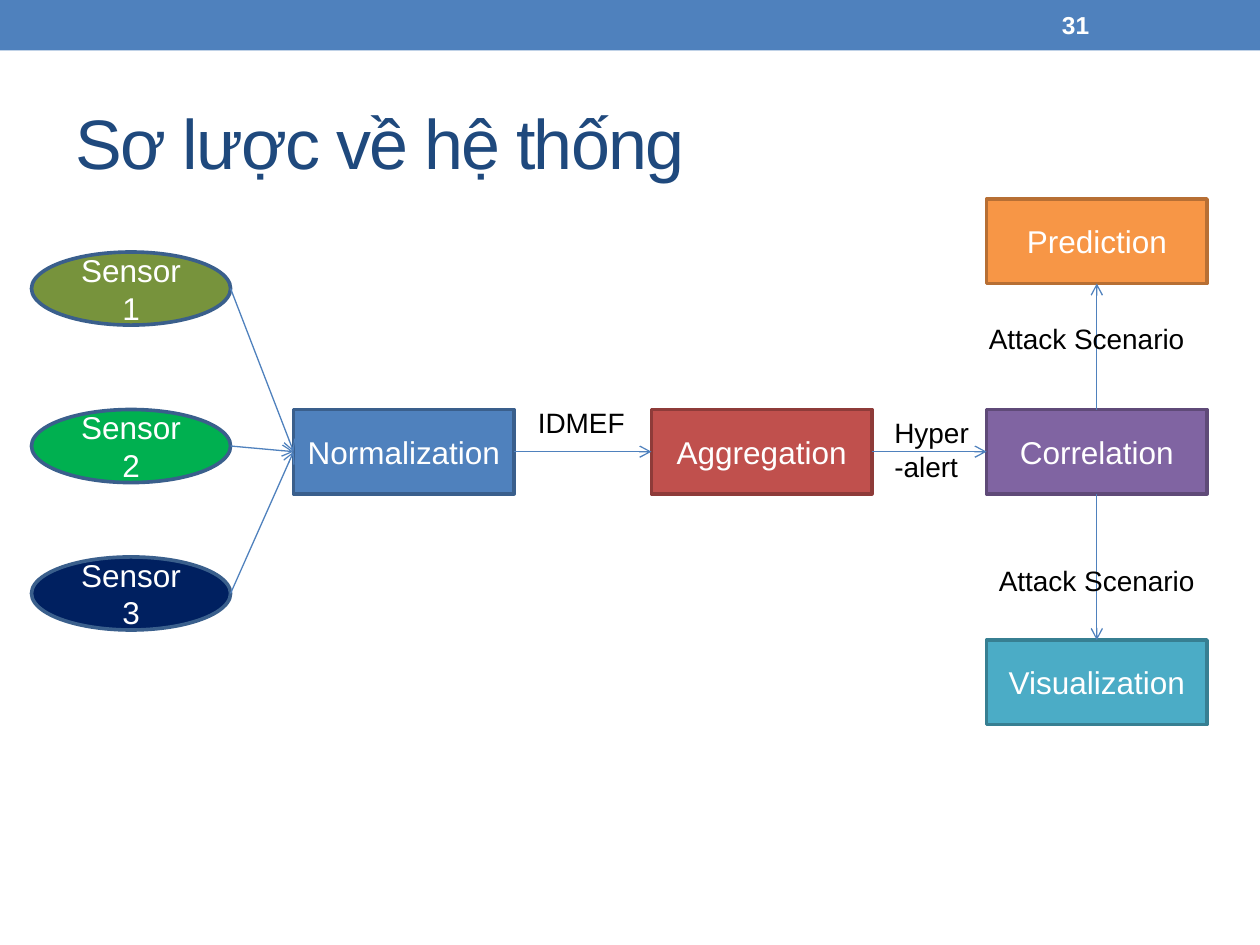
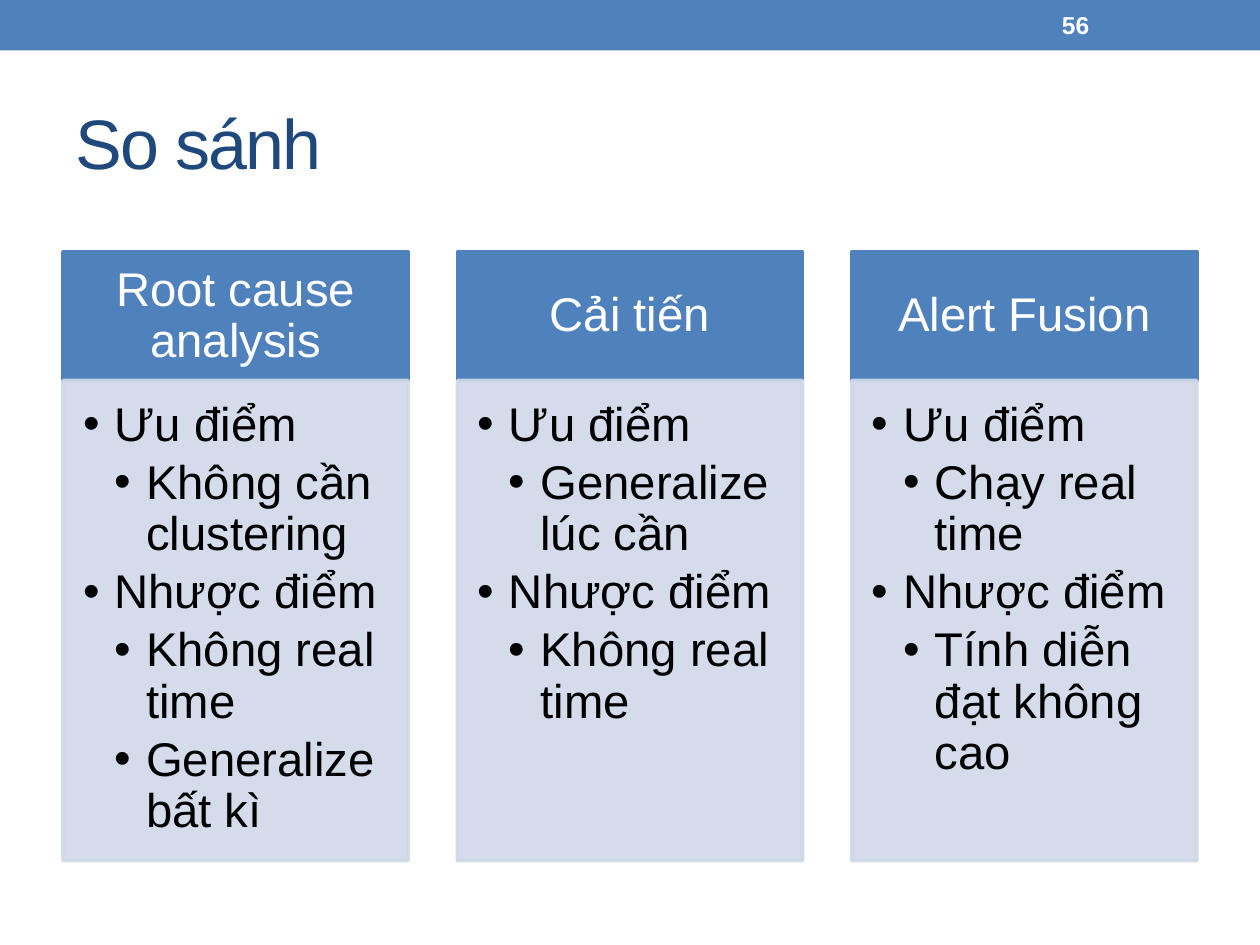
"""Build two slides: an alert-processing pipeline and a three-column comparison."""
from dataclasses import dataclass

from lxml.etree import SubElement
from pptx import Presentation
from pptx.dml.color import RGBColor
from pptx.enum.shapes import MSO_CONNECTOR as Connector, MSO_SHAPE as Shape
from pptx.enum.text import MSO_ANCHOR as Anchor, MSO_AUTO_SIZE as AutoSize, PP_ALIGN as Align
from pptx.oxml.ns import qn
from pptx.util import Inches, Pt


@dataclass(frozen=True)
class Theme:
    font: str = "Arial"
    blue: str = "4F81BD"
    blue_edge: str = "3A5F8C"
    title: str = "1F497D"
    panel: str = "D0D8E8"
    white: str = "FFFFFF"
    black: str = "000000"
    title_size: int = 40
    column_size: int = 27
    node_size: int = 18
    label_size: int = 16
    number_size: int = 14
    edge_width: float = 2.08
    arrow_width: float = 0.75


THEME = Theme()
TOP, LEFT, BOTTOM, RIGHT = range(4)

PIPELINE_TITLE, PIPELINE_NUMBER = "Sơ lược về hệ thống", "31"
SENSOR_LEFT, SENSOR_SIZE = 0.25, (1.58, 0.58)
SENSORS = [("Sensor 1", 2, "77933C"), ("Sensor 2", 3.25, "00B050"), ("Sensor 3", 4.42, "002060")]
STAGE_SIZE = (1.75, 0.67)
STAGE_COLUMNS = (2.33, 5.17, 7.83)
STAGE_ROWS = (1.58, 3.25, 5.08)
STAGES = [
    ("Normalization", 0, 1, THEME.blue, THEME.blue_edge),
    ("Aggregation", 1, 1, "C0504D", "8E3B39"),
    ("Correlation", 2, 1, "8064A2", "5F4A78"),
    ("Prediction", 2, 0, "F79646", "B76F34"),
    ("Visualization", 2, 2, "4BACC6", "377F92"),
]
FLOWS = [
    ("Normalization", RIGHT, "Aggregation", LEFT),
    ("Aggregation", RIGHT, "Correlation", LEFT),
    ("Correlation", TOP, "Prediction", BOTTOM),
    ("Correlation", BOTTOM, "Visualization", TOP),
]
LABELS = [
    (("Hyper", "-alert"), (7, 3.25, 0.8, 0.64)),
    (("IDMEF",), (4.17, 3.17, 0.9, 0.37)),
    (("Attack Scenario",), (7.75, 2.5, 1.77, 0.37)),
    (("Attack Scenario",), (7.83, 4.42, 1.77, 0.37)),
]

COMPARISON_TITLE, COMPARISON_NUMBER = "So sánh", "56"
PROS, CONS = "Ưu điểm", "Nhược điểm"
COLUMNS = [
    ("Root cause analysis", {PROS: ["Không cần clustering"],
                             CONS: ["Không real time", "Generalize bất kì"]}),
    ("Cải tiến", {PROS: ["Generalize lúc cần"], CONS: ["Không real time"]}),
    ("Alert Fusion", {PROS: ["Chạy real time"], CONS: ["Tính diễn đạt không cao"]}),
]
COLUMN_LEFT, COLUMN_TOP, COLUMN_WIDTH, COLUMN_PITCH = 0.5, 2, 2.74, 3.13
HEADER_HEIGHT, PANEL_HEIGHT, INDENT = 1.02, 3.81, 0.25
HEADER_MARGINS = (0.21, 0.12, 0.21, 0.12)
PANEL_MARGINS = (0.16, 0.16, 0.21, 0.24)


def apply(target, values):
    for name, value in values.items():
        setattr(target, name, value)


def style_text(paragraph, size, color, **values):
    apply(paragraph.font, {"name": THEME.font, "size": Pt(size), **values})
    paragraph.font.color.rgb = RGBColor.from_string(color)


def write(shape, lines, size, color, align=Align.LEFT, **values):
    frame = shape.text_frame
    frame.text = "\n".join(lines)
    for paragraph in frame.paragraphs:
        paragraph.alignment = align
        style_text(paragraph, size, color, **values)
    return frame


def set_margins(frame, margins):
    sides = ("margin_left", "margin_top", "margin_right", "margin_bottom")
    apply(frame, dict(zip(sides, map(Inches, margins))))


def add_block(slide, kind, box, fill, edge=None):
    shape = slide.shapes.add_shape(kind, *map(Inches, box))
    shape.shadow.inherit = False
    shape.fill.solid()
    shape.fill.fore_color.rgb = RGBColor.from_string(fill)
    if edge:
        shape.line.color.rgb = RGBColor.from_string(edge)
        shape.line.width = Pt(THEME.edge_width)
    else:
        shape.line.fill.background()
    shape.text_frame.vertical_anchor = Anchor.MIDDLE
    return shape


def add_textbox(slide, box, lines, size, color, wrap, **values):
    textbox = slide.shapes.add_textbox(*map(Inches, box))
    frame = write(textbox, lines, size, color, **values)
    frame.word_wrap = wrap
    return frame


def add_slide(presentation, title, number):
    slide = presentation.slides.add_slide(presentation.slide_layouts[5])
    add_block(slide, Shape.RECTANGLE, (0, 0, 10, 0.4), THEME.blue)
    heading = slide.shapes.title
    apply(heading, {"left": Inches(0.5), "top": Inches(0.58),
                    "width": Inches(9), "height": Inches(1.08)})
    frame = write(heading, [title], THEME.title_size, THEME.title)
    apply(frame, {"vertical_anchor": Anchor.MIDDLE, "auto_size": AutoSize.NONE})
    frame.paragraphs[0].runs[0].font.size = Pt(THEME.title_size)
    frame.paragraphs[0].runs[0]._r.get_or_add_rPr().set("spc", "-100")
    frame = add_textbox(slide, (8.33, 0.02, 1.17, 0.36), [number],
                        THEME.number_size, THEME.white, True, bold=True)
    frame.vertical_anchor = Anchor.MIDDLE
    return slide


def add_node(slide, kind, box, name, fill, edge):
    node = add_block(slide, kind, box, fill, edge)
    write(node, [name], THEME.node_size, THEME.white, Align.CENTER)
    return node


def add_arrow(slide, target, target_side, source, source_side=None):
    start = source.left + source.width, source.top + source.height // 2
    arrow = slide.shapes.add_connector(Connector.STRAIGHT, *start, target.left, target.top)
    if source_side is not None:
        arrow.begin_connect(source, source_side)
    arrow.end_connect(target, target_side)
    arrow.line.color.rgb = RGBColor.from_string(THEME.blue)
    arrow.line.width = Pt(THEME.arrow_width)
    SubElement(arrow.line._get_or_add_ln(), qn("a:tailEnd"), type="arrow")
    SubElement(arrow._element.spPr, qn("a:effectLst"))


def build_pipeline(presentation):
    slide = add_slide(presentation, PIPELINE_TITLE, PIPELINE_NUMBER)
    sensors = [add_node(slide, Shape.OVAL, (SENSOR_LEFT, top, *SENSOR_SIZE),
                        name, fill, THEME.blue_edge) for name, top, fill in SENSORS]
    stages = {
        name: add_node(slide, Shape.RECTANGLE,
                       (STAGE_COLUMNS[column], STAGE_ROWS[row], *STAGE_SIZE), name, fill, edge)
        for name, column, row, fill, edge in STAGES
    }
    for sensor in sensors:
        add_arrow(slide, stages["Normalization"], LEFT, sensor)
    for source, source_side, target, target_side in FLOWS:
        add_arrow(slide, stages[target], target_side, stages[source], source_side)
    for lines, box in LABELS:
        add_textbox(slide, box, lines, THEME.label_size, THEME.black, False)


def add_bullet(paragraph, level):
    apply(paragraph, {"line_spacing": 0.9, "space_after": Pt(4), "level": level})
    properties = paragraph._p.get_or_add_pPr()
    properties.set("marL", str(Inches(INDENT * (level + 1))))
    properties.set("indent", str(-Inches(INDENT)))
    SubElement(properties, qn("a:buFont"), typeface=THEME.font)
    SubElement(properties, qn("a:buChar"), char="•")


def add_column(slide, left, header, groups):
    box = (left, COLUMN_TOP, COLUMN_WIDTH, HEADER_HEIGHT)
    block = add_block(slide, Shape.RECTANGLE, box, THEME.blue, THEME.blue)
    frame = write(block, [header], THEME.column_size, THEME.white, Align.CENTER)
    frame.paragraphs[0].line_spacing = 0.9
    set_margins(frame, HEADER_MARGINS)

    box = (left, COLUMN_TOP + HEADER_HEIGHT, COLUMN_WIDTH, PANEL_HEIGHT)
    panel = add_block(slide, Shape.RECTANGLE, box, THEME.panel, THEME.panel)
    for color in panel._element.spPr.iter(qn("a:srgbClr")):
        SubElement(color, qn("a:alpha"), val="90000")
    bullets = [(text, level) for group, points in groups.items()
               for text, level in [(group, 0), *((point, 1) for point in points)]]
    frame = write(panel, [text for text, _ in bullets], THEME.column_size, THEME.black)
    frame.vertical_anchor = Anchor.TOP
    set_margins(frame, PANEL_MARGINS)
    for paragraph, (_, level) in zip(frame.paragraphs, bullets):
        add_bullet(paragraph, level)


def build_comparison(presentation):
    slide = add_slide(presentation, COMPARISON_TITLE, COMPARISON_NUMBER)
    for index, (header, groups) in enumerate(COLUMNS):
        add_column(slide, COLUMN_LEFT + index * COLUMN_PITCH, header, groups)


def main():
    presentation = Presentation()
    apply(presentation, {"slide_width": Inches(10), "slide_height": Inches(7.5)})
    build_pipeline(presentation)
    build_comparison(presentation)
    presentation.save("out.pptx")


if __name__ == "__main__":
    main()
